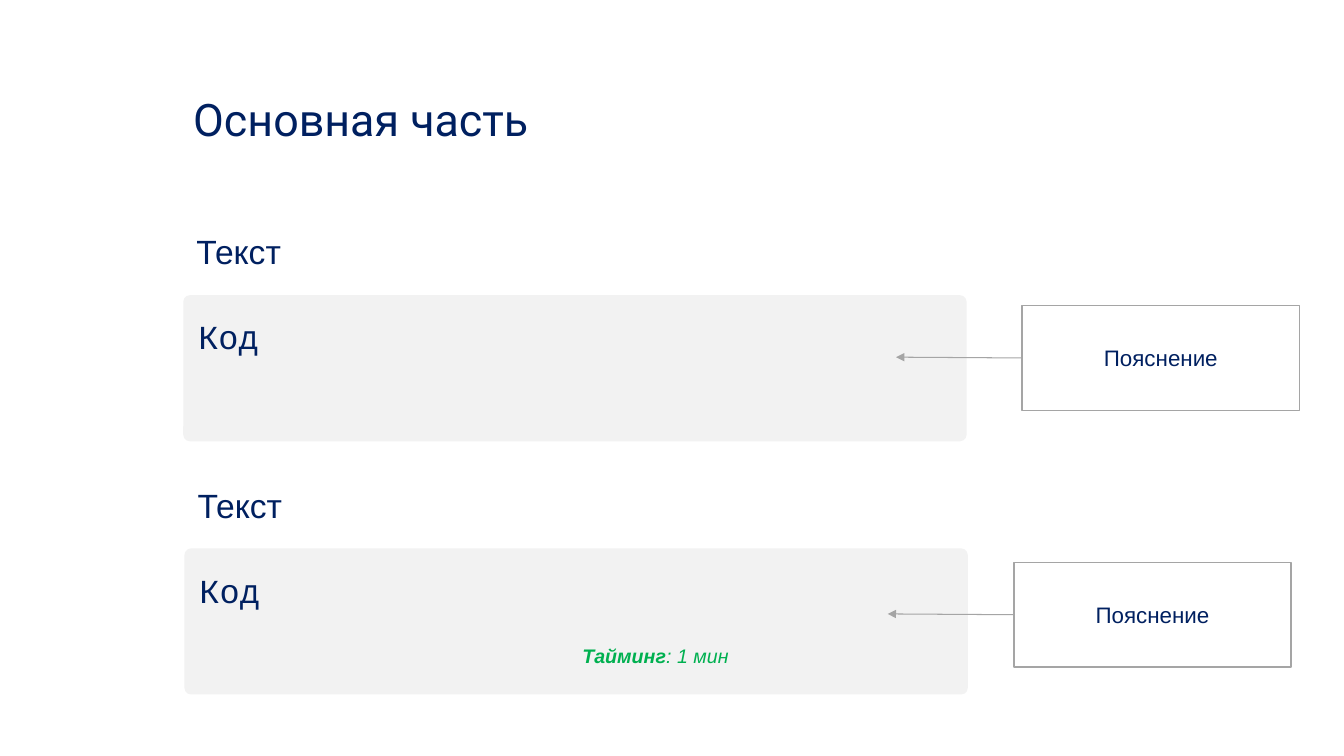
from dataclasses import dataclass

from lxml import etree
from pptx import Presentation
from pptx.dml.color import RGBColor
from pptx.enum.shapes import MSO_CONNECTOR, MSO_SHAPE
from pptx.enum.text import MSO_ANCHOR, PP_ALIGN
from pptx.oxml.ns import qn
from pptx.util import Cm, Pt

NAVY = RGBColor(0x00, 0x20, 0x60)
GREEN = RGBColor(0x00, 0xB0, 0x50)
GRAY = RGBColor(0xA5, 0xA5, 0xA5)
PANEL = RGBColor(0xF2, 0xF2, 0xF2)
WHITE = RGBColor(0xFF, 0xFF, 0xFF)

TOP, MIDDLE = MSO_ANCHOR.TOP, MSO_ANCHOR.MIDDLE
LEFT, CENTER = PP_ALIGN.LEFT, PP_ALIGN.CENTER
RECTANGLE, ROUNDED = MSO_SHAPE.RECTANGLE, MSO_SHAPE.ROUNDED_RECTANGLE
STRAIGHT = MSO_CONNECTOR.STRAIGHT
LEFT_SIDE = 1

ARROW_LENGTH, ARROW_RISE = 3.18, 0.02


@dataclass(frozen=True)
class Box:
    """Place and size in centimetres."""
    left: float
    top: float
    width: float
    height: float

    def lengths(self) -> tuple:
        return Cm(self.left), Cm(self.top), Cm(self.width), Cm(self.height)


@dataclass(frozen=True)
class TextStyle:
    size: int
    font: str = "Arial"
    color: RGBColor = NAVY
    align: PP_ALIGN = LEFT
    anchor: MSO_ANCHOR = TOP
    inset_x: float = 0.25
    inset_y: float = 0.13
    line_spacing: float = 1.0
    space_after: int = 0
    italic: bool = False


@dataclass(frozen=True)
class Section:
    caption: Box
    code: Box
    note: Box


TITLE = TextStyle(32, "Roboto", anchor=MIDDLE, line_spacing=1.15)
CAPTION = TextStyle(24, inset_x=0.33, inset_y=0.33, line_spacing=1.15, space_after=16)
CODE = TextStyle(24, "Courier New", inset_x=0.33, inset_y=0.33,
                 line_spacing=1.15, space_after=16)
NOTE = TextStyle(16, align=CENTER, anchor=MIDDLE)
TIMING = TextStyle(14, color=GREEN, align=CENTER, italic=True)

SECTIONS = [
    Section(Box(4.62, 5.33, 19.76, 2.11), Box(4.62, 7.44, 19.74, 3.68),
            Box(25.76, 7.7, 6.99, 2.64)),
    Section(Box(4.65, 11.73, 19.76, 2.11), Box(4.65, 13.82, 19.74, 3.68),
            Box(25.55, 14.17, 6.99, 2.64)),
]


def write(shape, style: TextStyle, *runs: tuple[str, bool]) -> None:
    """Fill the shape with one paragraph of (text, bold) runs."""
    frame = shape.text_frame
    frame.word_wrap = True
    frame.vertical_anchor = style.anchor
    frame.margin_left = frame.margin_right = Cm(style.inset_x)
    frame.margin_top = frame.margin_bottom = Cm(style.inset_y)
    paragraph = frame.paragraphs[0]
    paragraph.alignment = style.align
    paragraph.line_spacing = style.line_spacing
    paragraph.space_after = Pt(style.space_after)
    for text, bold in runs:
        run = paragraph.add_run()
        run.text = text
        run.font.name = style.font
        run.font.size = Pt(style.size)
        run.font.color.rgb = style.color
        run.font.bold = bold
        run.font.italic = style.italic


def add_label(slide, box: Box, style: TextStyle, *runs: tuple[str, bool]) -> None:
    write(slide.shapes.add_textbox(*box.lengths()), style, *runs)


def add_panel(slide, preset: MSO_SHAPE, box: Box, fill: RGBColor):
    panel = slide.shapes.add_shape(preset, *box.lengths())
    panel.shadow.inherit = False
    panel.fill.solid()
    panel.fill.fore_color.rgb = fill
    panel.line.fill.background()
    return panel


def add_arrow_from(slide, note, box: Box) -> None:
    """Point from the left side of the note into the code panel."""
    middle = box.top + box.height / 2
    arrow = slide.shapes.add_connector(
        STRAIGHT, Cm(box.left), Cm(middle),
        Cm(box.left - ARROW_LENGTH), Cm(middle - ARROW_RISE))
    arrow.begin_connect(note, LEFT_SIDE)
    arrow.line.color.rgb = GRAY
    arrow.line.width = Pt(0.75)
    etree.SubElement(arrow.line._get_or_add_ln(), qn("a:tailEnd"), type="triangle")
    etree.SubElement(arrow._element.spPr, qn("a:effectLst"))


def add_section(slide, section: Section) -> None:
    add_label(slide, section.caption, CAPTION, ("Текст", False))

    code = add_panel(slide, ROUNDED, section.code, PANEL)
    code.adjustments[0] = 0.045
    write(code, CODE, ("Код", False))

    note = add_panel(slide, RECTANGLE, section.note, WHITE)
    note.line.color.rgb = GRAY
    note.line.width = Pt(1)
    write(note, NOTE, ("Пояснение", False))
    add_arrow_from(slide, note, section.note)


def main() -> None:
    presentation = Presentation()
    presentation.slide_width = Cm(33.87)
    presentation.slide_height = Cm(19.05)
    slide = presentation.slides.add_slide(presentation.slide_layouts[6])

    add_label(slide, Box(4.62, 1.04, 19.35, 3.68), TITLE, ("Основная часть", False))
    for section in SECTIONS:
        add_section(slide, section)
    add_label(slide, Box(8.05, 16.1, 16.94, 0.86), TIMING,
              ("Тайминг", True), (": 1 мин", False))

    presentation.save("out.pptx")


if __name__ == "__main__":
    main()
